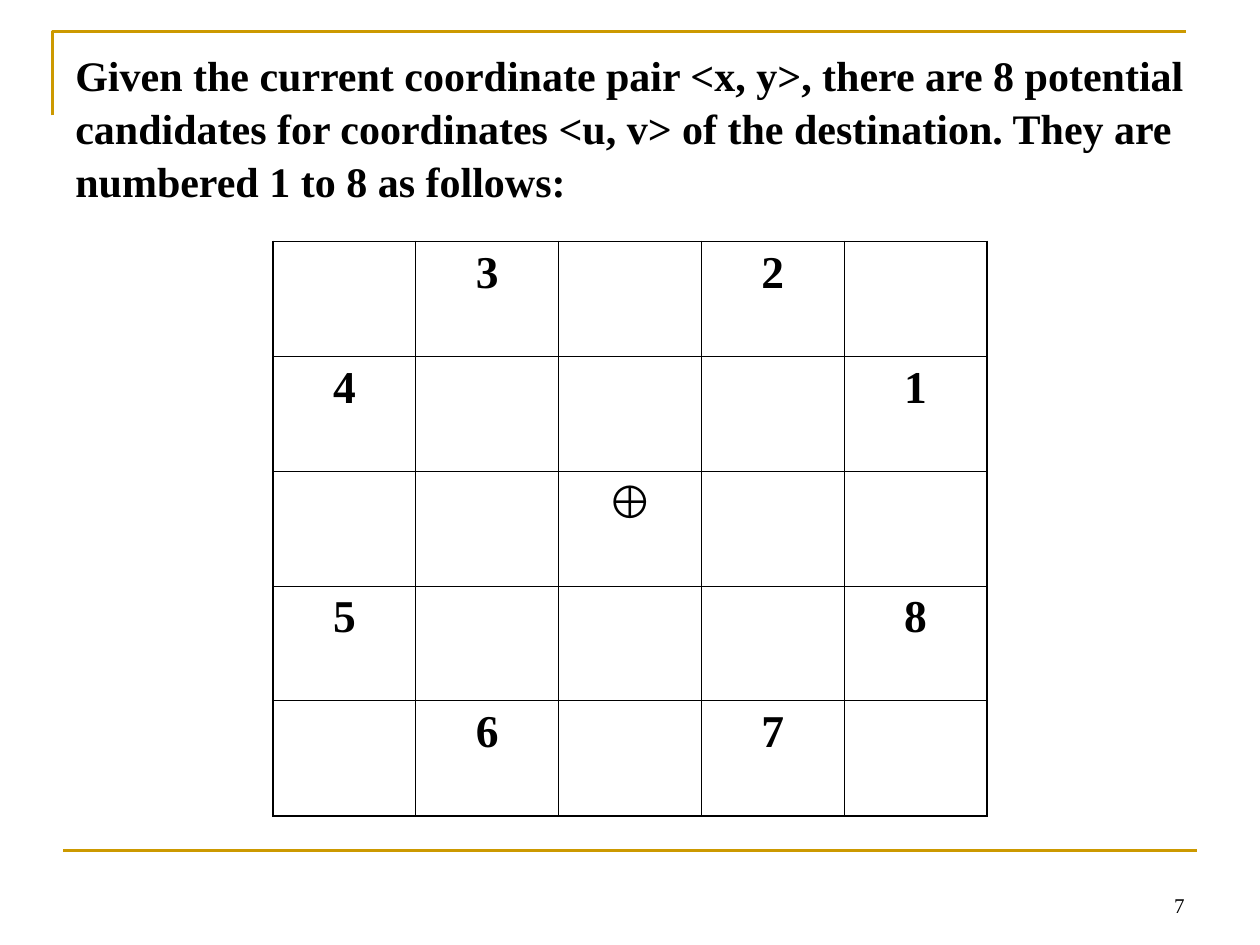
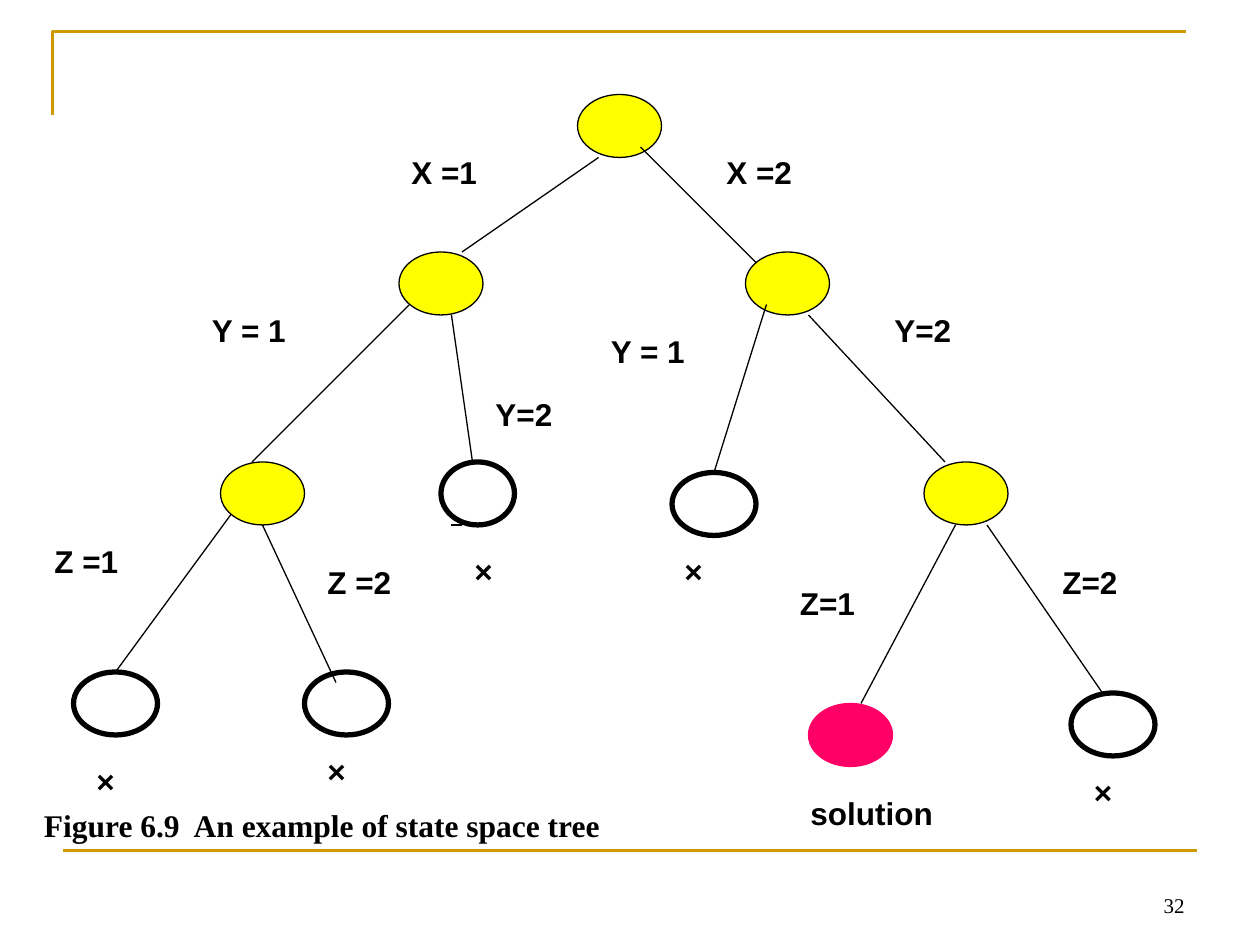
import pptx
import pptx.util
import pptx.dml.color
import pptx.enum.shapes
import pptx.enum.text
import pptx.oxml.ns
from lxml import etree

PX = 7620  # EMU in one px, 120 px to the inch
COLOURS = {"gold": "CC9900", "ink": "000000", "open": "FFFF00", "goal": "FF0066"}
SERIF, SANS = "Times New Roman", "Arial"
ALIGN = pptx.enum.text.PP_ALIGN
ANCHOR = pptx.enum.text.MSO_ANCHOR
SHAPE = pptx.enum.shapes.MSO_SHAPE
LINK = pptx.enum.shapes.MSO_CONNECTOR


def px(*sizes):
    return [round(size * PX) for size in sizes]


def tint(name):
    return pptx.dml.color.RGBColor.from_string(COLOURS[name])


def stroke(line, colour, width):
    line.color.rgb = tint(colour)
    line.width = pptx.util.Pt(width)


def write(frame, text, font=SANS, size=18, bold=True, align=ALIGN.LEFT,
          anchor=ANCHOR.TOP, inset=(12, 6, 12, 6), spacing=None):
    """Fill a text frame with one formatted paragraph."""
    frame.word_wrap = True
    frame.vertical_anchor = anchor
    (frame.margin_left, frame.margin_top,
     frame.margin_right, frame.margin_bottom) = px(*inset)
    para = frame.paragraphs[0]
    para.alignment = align
    para.line_spacing = spacing
    run = para.add_run()
    run.text = text
    run.font.name, run.font.bold = font, bold
    run.font.size = pptx.util.Pt(size)
    run.font.color.rgb = tint("ink")


def label(slide, box, text, **style):
    write(slide.shapes.add_textbox(*px(*box)).text_frame, text, **style)


def link(slide, start, end, colour="ink", width=0.75):
    line = slide.shapes.add_connector(LINK.STRAIGHT, *px(*start, *end))
    stroke(line.line, colour, width)
    props = line._element.spPr
    etree.SubElement(props, pptx.oxml.ns.qn("a:effectLst"))


def frame_page(deck, number):
    """Add a slide with the gold corner, the foot rule and its number."""
    slide = deck.slides.add_slide(deck.slide_layouts[6])
    pen = slide.shapes.build_freeform(50, 110, scale=PX)
    pen.add_line_segments([(50, 30), (1130, 30)], close=False)
    corner = pen.convert_to_shape()
    corner.shadow.inherit = False
    corner.fill.background()
    stroke(corner.line, "gold", 1.5)
    link(slide, (60, 810), (1140, 810), "gold", 1.5)
    label(slide, (860, 820, 280, 60), str(number), font=SERIF, size=12,
          bold=False, align=ALIGN.RIGHT, anchor=ANCHOR.BOTTOM)
    return slide


def edge(cell, widths):
    """Draw the four cell borders: left, right, top, bottom."""
    props = cell._tc.get_or_add_tcPr()
    for spot, (side, width) in enumerate(zip("LRTB", widths)):
        line = etree.Element(pptx.oxml.ns.qn("a:ln" + side),
                             w=str(pptx.util.Pt(width)))
        fill = etree.SubElement(line, pptx.oxml.ns.qn("a:solidFill"))
        etree.SubElement(fill, pptx.oxml.ns.qn("a:srgbClr"), val=COLOURS["ink"])
        props.insert(spot, line)


def draw_board(slide, box, marks):
    """Square board; marks maps (row, column) to the text of a cell."""
    count = 5
    left, top, width, height = px(*box)
    board = slide.shapes.add_table(count, count, left, top, width, height).table
    board.first_row = board.horz_banding = False
    for row in range(count):
        board.rows[row].height = height // count
        board.columns[row].width = width // count
        for col in range(count):
            cell = board.cell(row, col)
            cell.fill.background()
            outer = (col == 0, col == count - 1, row == 0, row == count - 1)
            edge(cell, [1.08 if out else 0.45 for out in outer])
            text = marks.get((row, col))
            if text:
                write(cell.text_frame, text, size=26, align=ALIGN.CENTER,
                      font=SANS if text == "⊕" else SERIF)


def draw_tree(slide, left, top):
    """State space tree, placed from its top left corner."""
    # Nodes by kind: fill, line colour, line width, then places
    kinds = [
        ("open", "ink", 0.75, [(520, 0), (680, 150), (850, 350), (180, 350),
                               (350, 150)]),
        (None, "ink", 3, [(990, 570), (610, 360), (260, 550), (40, 550),
                          (390, 350, 70)]),
        ("goal", "goal", 0.75, [(740, 580)]),
    ]
    for fill, colour, width, spots in kinds:
        for x, y, *wide in spots:
            node = slide.shapes.add_shape(
                SHAPE.OVAL, *px(left + x, top + y, wide[0] if wide else 80, 60))
            node.shadow.inherit = False
            if fill:
                node.fill.solid()
                node.fill.fore_color.rgb = tint(fill)
            else:
                node.fill.background()
            stroke(node.line, colour, width)

    # Branches
    for x, y, u, v in [
        (540, 60, 410, 150), (580, 50, 690, 160), (360, 200, 210, 350),
        (400, 210, 420, 350), (700, 200, 650, 360), (740, 210, 870, 350),
        (190, 400, 80, 550), (220, 410, 290, 560), (410, 410, 400, 410),
        (880, 410, 790, 580), (910, 410, 1020, 570),
    ]:
        link(slide, (left + x, top + y), (left + u, top + v))

    # Choices and outcomes
    for text, x, y, width in [
        ("X =1", 350, 50, 90), ("X =2", 650, 50, 100),
        ("Y = 1", 160, 200, 120), ("Y=2", 430, 280, 90),
        ("Y = 1", 540, 220, 120), ("Y=2", 810, 200, 140),
        ("Z =1", 10, 420, 110), ("Z =2", 270, 440, 110),
        ("Z=1", 720, 460, 90), ("Z=2", 970, 440, 130),
        ("×", 50, 630, 50), ("×", 410, 430, 60), ("×", 610, 430, 70),
        ("×", 1000, 640, 60), ("×", 270, 620, 80), ("solution", 730, 660, 150),
    ]:
        label(slide, (left + x, top + y, width, 48), text)
    label(slide, (left, top + 672, 700, 48),
          "Figure 6.9  An example of state space tree", font=SERIF)


def main():
    deck = pptx.Presentation()
    deck.slide_width, deck.slide_height = px(1200, 900)

    # Knight moves
    moves = frame_page(deck, 7)
    label(moves, (60, 36, 1080, 150),
          "Given the current coordinate pair <x, y>, there are 8 potential "
          "candidates for coordinates <u, v> of the destination. They are "
          "numbered 1 to 8 as follows:",
          font=SERIF, size=24, inset=(12, 9, 0, 0), spacing=1.05)
    draw_board(moves, (260, 230, 680, 547), {
        (0, 1): "3", (0, 3): "2", (1, 0): "4", (1, 4): "1", (2, 2): "⊕",
        (3, 0): "5", (3, 4): "8", (4, 1): "6", (4, 3): "7"})

    # State space tree
    draw_tree(frame_page(deck, 32), 30, 90)
    deck.save("out.pptx")


if __name__ == "__main__":
    main()
